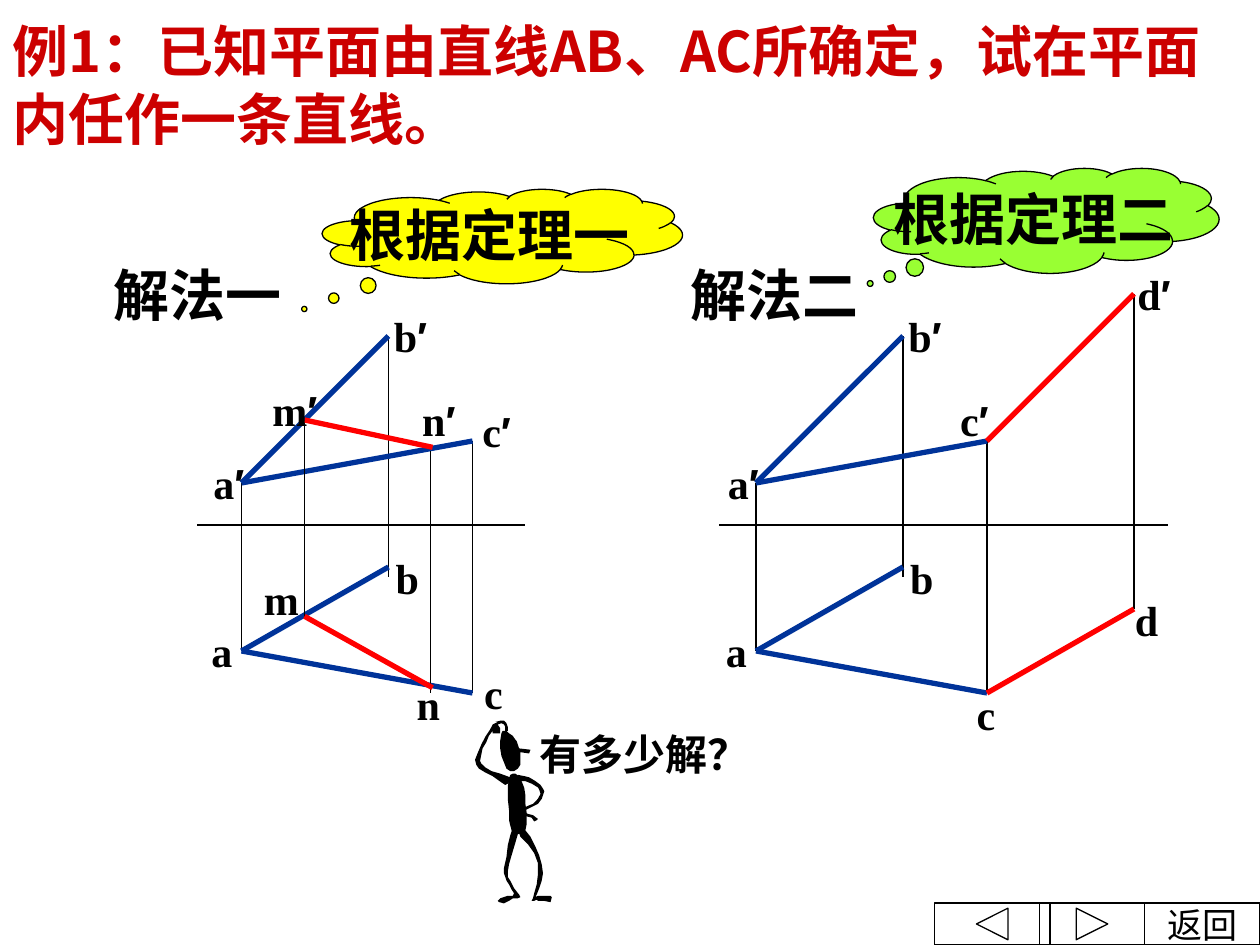
from dataclasses import dataclass

from lxml import etree
from pptx import Presentation
from pptx.dml.color import RGBColor as RGB
from pptx.enum.shapes import MSO_CONNECTOR as CONN, MSO_SHAPE as SHAPE
from pptx.enum.text import MSO_ANCHOR as ANCHOR, MSO_AUTO_SIZE as FIT, PP_ALIGN as ALIGN
from pptx.oxml.ns import qn
from pptx.util import Cm, Pt


@dataclass(frozen=True)
class Theme:
    ink: str = "000000"
    given: str = "003399"
    answer: str = "FF0000"
    title: str = "CC0000"
    yellow: str = "FFFF00"
    green: str = "99FF33"
    serif: str = "Times New Roman"
    prime: str = "Arial"
    cjk: str = "Noto Sans CJK JP"
    big: int = 32
    mid: int = 24
    small: int = 20
    thin: float = 0.75
    thick: float = 3


GRID = 2.54 / 12   # the drawing grid has 12 steps to the inch
FINE = 0.0254      # outlines of the thinking figure


def g(n):
    """Length of n grid steps."""
    return Cm(n * GRID)


class Drawing:
    def __init__(self, slide, theme):
        self.s, self.t = slide, theme

    def line(self, start, end, color, width):
        cn = self.s.shapes.add_connector(CONN.STRAIGHT, *map(g, start + end))
        cn.line.color.rgb = RGB.from_string(color)
        cn.line.width = Pt(width)
        etree.SubElement(cn._element.spPr, qn("a:effectLst"))

    def projector(self, x, top, bottom):
        self.line((x, top), (x, bottom), self.t.ink, self.t.thin)

    def given(self, start, end):
        self.line(start, end, self.t.given, self.t.thick)

    def answer(self, start, end):
        self.line(start, end, self.t.answer, self.t.thick)

    def add_run(self, p, text, size, font, color, bold):
        r = p.add_run()
        r.text = text
        f = r.font
        f.size, f.bold, f.name = Pt(size), bold, font
        f.color.rgb = RGB.from_string(color)
        if font != self.t.prime:
            etree.SubElement(r._r.get_or_add_rPr(), qn("a:ea"), typeface=self.t.cjk)

    def fill_text(self, sp, runs, size, color=None, align=ALIGN.CENTER, wrap=False, bold=True,
                  tab=None):
        """Fill a shape with one paragraph of (text, font) runs."""
        tf = sp.text_frame
        tf.word_wrap, tf.vertical_anchor = wrap, ANCHOR.MIDDLE
        p = tf.paragraphs[0]
        p.alignment = align
        if tab:
            tabs = etree.SubElement(p._p.get_or_add_pPr(), qn("a:tabLst"))
            etree.SubElement(tabs, qn("a:tab"), pos=str(tab), algn="l")
        for text, font in runs:
            self.add_run(p, text, size, font, color or self.t.ink, bold)

    def text(self, box, runs, size, **style):
        sp = self.s.shapes.add_textbox(*map(g, box))
        self.fill_text(sp, runs, size, **style)
        sp.text_frame.auto_size = FIT.SHAPE_TO_FIT_TEXT

    def label(self, name, center, top):
        """Name of a point; a prime is set in its own font."""
        width = LABEL_WIDTH[name]
        runs = [(name[0], self.t.serif)] + [(mark, self.t.prime) for mark in name[1:]]
        self.text((center - width / 2, top, width, 6), runs, self.t.mid)

    def shape(self, kind, box, fill=None):
        sp = self.s.shapes.add_shape(kind, *map(g, box))
        sp.shadow.inherit = False
        if fill:
            sp.fill.solid()
            sp.fill.fore_color.rgb = RGB.from_string(fill)
        else:
            sp.fill.background()
        sp.line.color.rgb = RGB.from_string(self.t.ink)
        sp.line.width = Pt(self.t.thin)
        return sp

    def cloud(self, box, tail, fill, text):
        sp = self.shape(SHAPE.CLOUD_CALLOUT, box, fill)
        sp.adjustments[0], sp.adjustments[1] = tail
        self.fill_text(sp, [(text, self.t.serif)], self.t.big)

    def outline(self, points):
        fb = self.s.shapes.build_freeform(*points[0], scale=Cm(FINE))
        fb.add_line_segments(points[1:], close=True)
        sp = fb.convert_to_shape()
        sp.shadow.inherit = False
        sp.fill.solid()
        sp.fill.fore_color.rgb = RGB.from_string(self.t.ink)
        sp.line.fill.background()


LABEL_WIDTH = {"a": 4.3, "b": 4.6, "c": 4.2, "d": 4.6, "m": 5.8, "n": 4.6,
               "a′": 5.8, "b′": 5.9, "c′": 5.5, "d′": 5.9, "m′": 9.8, "n′": 5.9}

HEAD = [(409, 587), (407, 584), (404, 582), (402, 580), (399, 580), (398, 582), (397, 588),
        (397, 594), (398, 600), (400, 605), (402, 610), (405, 612), (408, 612), (411, 610),
        (413, 607), (413, 597), (420, 598), (421, 595), (412, 594), (410, 588)]
RAISED_ARM = [(393, 573), (397, 572), (400, 572), (402, 574), (403, 577), (403, 580), (401, 580),
              (401, 577), (400, 575), (398, 574), (395, 575), (397, 578), (397, 582), (391, 582),
              (391, 580), (388, 584), (386, 589), (383, 594), (382, 599), (381, 604), (382, 606),
              (385, 609), (390, 612), (397, 614), (405, 617), (405, 620), (403, 622), (401, 623),
              (398, 621), (391, 616), (385, 613), (380, 610), (378, 607), (377, 603), (379, 598),
              (382, 591), (385, 585), (389, 579), (391, 575), (395, 573)]
BODY = [(404, 618), (405, 615), (407, 614), (409, 614), (412, 616), (414, 620), (416, 625),
        (417, 631), (417, 638), (418, 645), (418, 654), (417, 659), (415, 661), (411, 662),
        (408, 662), (406, 659), (405, 655), (404, 651), (404, 643), (403, 634), (403, 624)]
BENT_ARM = [(411, 615), (416, 616), (420, 617), (425, 620), (429, 623), (431, 626), (432, 628),
            (430, 634), (427, 638), (423, 640), (417, 643), (417, 645), (419, 646), (423, 647),
            (427, 650), (426, 651), (424, 652), (422, 649), (418, 648), (416, 647), (416, 642),
            (418, 640), (423, 638), (427, 634), (429, 630), (428, 627), (427, 625), (422, 622),
            (417, 620), (411, 620), (410, 618)]
RIGHT_LEG = [(415, 657), (412, 657), (412, 661), (413, 664), (419, 670), (424, 677), (427, 685),
             (427, 694), (426, 702), (424, 709), (423, 713), (422, 715), (424, 715), (426, 714),
             (427, 715), (432, 715), (437, 716), (438, 712), (437, 711), (427, 711), (425, 712),
             (426, 710), (428, 705), (430, 699), (431, 693), (430, 686), (428, 679), (425, 672),
             (421, 664), (417, 659)]
LEFT_LEG = [(407, 657), (405, 663), (403, 671), (402, 680), (400, 689), (400, 693), (402, 699),
            (404, 702), (406, 706), (408, 709), (407, 711), (403, 711), (397, 713), (395, 715),
            (396, 716), (400, 717), (404, 715), (407, 713), (411, 713), (413, 712), (412, 710),
            (408, 705), (405, 699), (403, 696), (403, 692), (404, 686), (406, 679), (409, 669),
            (411, 662), (411, 659), (409, 657)]


def plane(d, dx, axis):
    """The lines AB and AC in both views, moved right by dx."""
    a, b, c = 23 + dx, 37 + dx, 45 + dx
    d.line((axis[0], 50), (axis[1], 50), d.t.ink, d.t.thin)
    for x, top, bottom in ((a, 46, 62), (b, 32, 55), (c, 42, 66)):
        d.projector(x, top, bottom)
    for ya, yb, yc in ((46, 32, 42), (62, 54, 66)):
        d.given((a, ya), (b, yb))
        d.given((a, ya), (c, yc))
    for name, x, top in (("a", 21.1, 59), ("b", 38.8, 52), ("a′", 21.8, 43), ("b′", 39.1, 29)):
        d.label(name, x + dx, top)


def main():
    prs = Presentation()
    prs.slide_width, prs.slide_height = Cm(25.4), Cm(19.05)
    t = Theme()
    d = Drawing(prs.slides.add_slide(prs.slide_layouts[6]), t)

    plane(d, 0, (18.8, 50))
    plane(d, 49, (68.5, 111.2))
    for x, top, bottom in ((29, 40, 59), (41, 43, 66), (108, 28, 58)):
        d.projector(x, top, bottom)
    for start, end in (((29, 40), (41.2, 42.6)), ((29, 58.7), (41.2, 65.5)),
                       ((94, 42), (108, 28)), ((94, 66), (108, 58))):
        d.answer(start, end)
    for name, x, top in (("c", 47, 63), ("c′", 47.3, 38), ("m", 26.8, 54), ("m′", 28.1, 36),
                         ("n", 40.8, 64), ("n′", 41.8, 37), ("c", 93.9, 65), ("c′", 92.8, 37),
                         ("d", 109.2, 56), ("d′", 109.9, 25)):
        d.label(name, x, top)

    title = "例1：已知平面由直线AB、AC所确定，试在平面\t内任作一条直线。"
    d.text((0, 1, 120, 14), [(title, t.cjk)], t.big, color=t.title,
           align=ALIGN.LEFT, wrap=True, tab=Cm(6.3))
    for left, text in ((9.6, "解法一"), (64.6, "解法二")):
        d.text((left, 24.2, 18.4, 7.7), [(text, t.serif)], t.big)
    d.cloud((83.2, 16, 32.9, 10), (-0.51, 0.6), t.green, "根据定理二")
    d.cloud((30.7, 18, 34.3, 9), (-0.55, 0.77), t.yellow, "根据定理一")

    for part in (HEAD, RAISED_ARM, BODY, BENT_ARM, RIGHT_LEG, LEFT_LEG):
        d.outline(part)
    d.text((50.2, 68.8, 22.3, 6), [("有多少解？", t.serif)], t.mid, align=ALIGN.LEFT)

    back = d.shape(SHAPE.ACTION_BUTTON_CUSTOM, (109, 86, 11, 4))
    d.fill_text(back, [("返回", t.serif)], t.small, bold=False)
    d.shape(SHAPE.ACTION_BUTTON_BACK_OR_PREVIOUS, (89, 86, 11, 4))
    d.shape(SHAPE.ACTION_BUTTON_FORWARD_OR_NEXT, (99, 86, 10, 4))

    prs.save("out.pptx")


if __name__ == "__main__":
    main()
